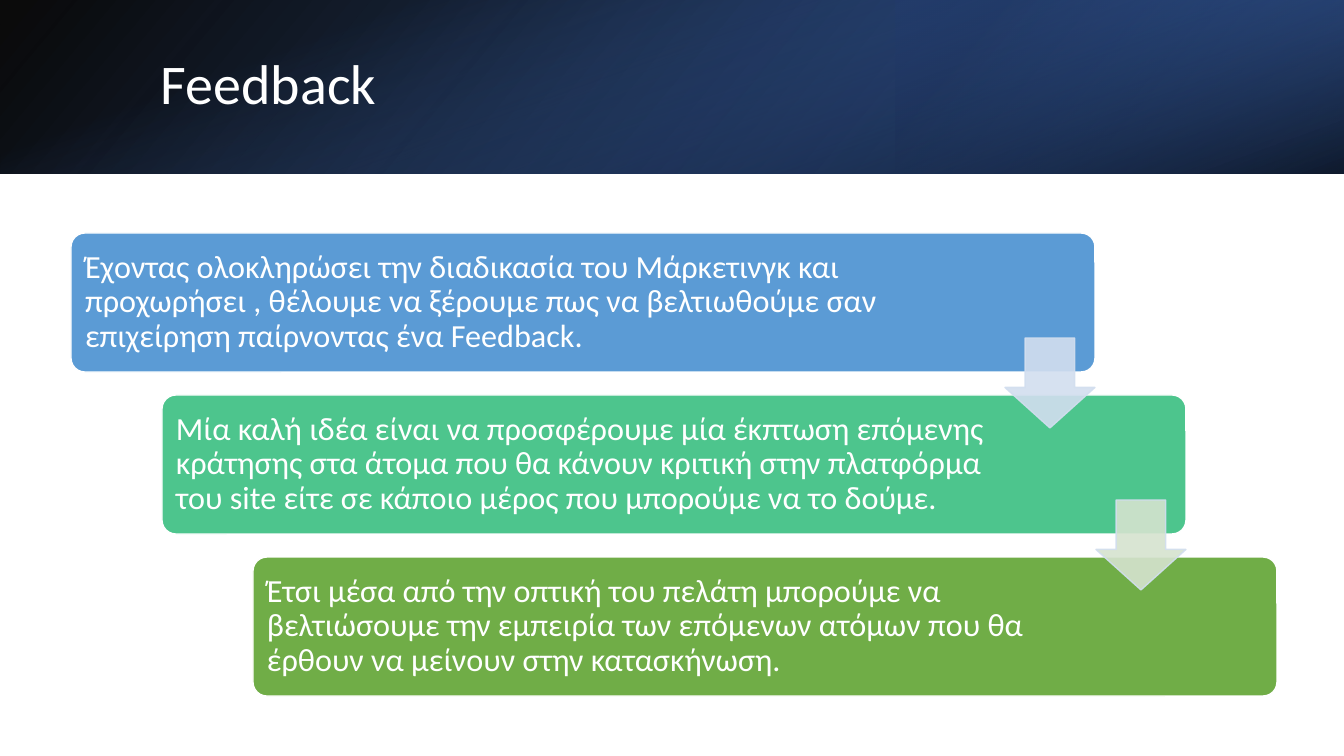
from dataclasses import dataclass

from lxml import etree
from pptx import Presentation
from pptx.dml.color import RGBColor
from pptx.enum.shapes import MSO_SHAPE
from pptx.enum.text import MSO_ANCHOR
from pptx.oxml.ns import qn
from pptx.util import Emu, Pt

RECTANGLE = MSO_SHAPE.RECTANGLE
ROUNDED = MSO_SHAPE.ROUNDED_RECTANGLE
DOWN_ARROW = MSO_SHAPE.DOWN_ARROW
MIDDLE = MSO_ANCHOR.MIDDLE

EMU_PER_PX = 914400 / 100.8
SLIDE_W, SLIDE_H = 1344, 756
BAND_H = 174
STEP_W, STEP_H = 1024, 139
STEP_LEFT, STEP_TOP = 71, 233
SHIFT_X, SHIFT_Y = 91, 162
INSET = 10
TEXT_MARGIN = 4
ARROW_SIZE = 90
ARROW_DX, ARROW_DY = 934, 105


@dataclass(frozen=True)
class Theme:
    font: str = "Calibri"
    title_size: int = 40
    body_size: int = 23
    white: str = "FFFFFF"
    black: str = "000000"
    navy: str = "203864"
    deep_blue: str = "2F5597"
    blue: str = "4472C4"
    steps: tuple = ("5B9BD5", "4DC58D", "70AD47")
    arrows: tuple = ("D2DEEF", "D5E3CF")
    arrow_line: str = "D2DEEF"


THEME = Theme()

# Text of each step with the width of its text area
STEPS = [
    ("Έχοντας ολοκληρώσει την διαδικασία του Μάρκετινγκ και προχωρήσει , "
     "θέλουμε να ξέρουμε πως να βελτιωθούμε σαν επιχείρηση παίρνοντας ένα "
     "Feedback.", 874),
    ("Μία καλή ιδέα είναι να προσφέρουμε μία έκπτωση επόμενης κράτησης στα "
     "άτομα που θα κάνουν κριτική στην πλατφόρμα του site είτε σε κάποιο "
     "μέρος που μπορούμε να το δούμε.", 836),
    ("Έτσι μέσα από την οπτική του πελάτη μπορούμε να βελτιώσουμε την "
     "εμπειρία των επόμενων ατόμων που θα έρθουν να μείνουν στην "
     "κατασκήνωση.", 836),
]


def px(value):
    return Emu(round(value * EMU_PER_PX))


def rgb(code):
    return RGBColor.from_string(code)


def set_opacities(shape, percents):
    """Give the shape's colours, fill first, their opacities in order."""
    colors = shape._element.spPr.iter(qn("a:srgbClr"))
    for color, percent in zip(list(colors), percents):
        etree.SubElement(color, qn("a:alpha")).set("val", str(percent * 1000))


def add_block(slide, kind, box, adjustments=()):
    block = slide.shapes.add_shape(kind, *map(px, box))
    block.shadow.inherit = False
    for index, value in enumerate(adjustments):
        block.adjustments[index] = value
    return block


def paint(block, fill, line):
    block.fill.solid()
    block.fill.fore_color.rgb = rgb(fill)
    block.line.color.rgb = rgb(line)
    block.line.width = Pt(1)


def add_gradient(slide, box, stops, angle, rotation=0, flipped=False):
    """Stops are (position, colour, opacity); the angle runs clockwise."""
    layer = add_block(slide, RECTANGLE, box)
    layer.rotation = rotation
    if flipped:
        layer._element.spPr.find(qn("a:xfrm")).set("flipH", "1")
    layer.line.fill.background()
    layer.fill.gradient()
    layer.fill.gradient_angle = 360 - angle
    for stop, (position, color, _) in zip(layer.fill.gradient_stops, stops):
        stop.position = position / 100
        stop.color.rgb = rgb(color)
    set_opacities(layer, [opacity for _, _, opacity in stops])


def add_text(slide, box, text, size):
    frame = slide.shapes.add_textbox(*map(px, box)).text_frame
    frame.word_wrap = True
    frame.vertical_anchor = MIDDLE
    frame.margin_left = frame.margin_right = px(INSET)
    frame.margin_top = frame.margin_bottom = px(INSET)
    paragraph = frame.paragraphs[0]
    paragraph.line_spacing = 0.9
    run = paragraph.add_run()
    run.text = text
    run.font.name = THEME.font
    run.font.size = Pt(size)
    run.font.color.rgb = rgb(THEME.white)


def add_header(slide):
    add_gradient(slide, (0, 0, SLIDE_W, BAND_H),
                 [(0, THEME.black, 96), (100, THEME.deep_blue, 100)],
                 140, flipped=True)
    add_gradient(slide, (SLIDE_W * 2 / 3, 0, SLIDE_W / 3, BAND_H),
                 [(19, THEME.navy, 68), (100, THEME.blue, 79)],
                 320, rotation=180, flipped=True)
    # An upright strip turned by 90 degrees to cover the band
    offset = (SLIDE_W - BAND_H) / 2
    add_gradient(slide, (offset, -offset, BAND_H, SLIDE_W),
                 [(23, THEME.blue, 0), (99, THEME.black, 74)],
                 340, rotation=90)
    add_text(slide, (151, 38, 1046, 97), "Feedback", THEME.title_size)


def add_step(slide, index, text, text_width):
    left = STEP_LEFT + index * SHIFT_X
    top = STEP_TOP + index * SHIFT_Y
    step = add_block(slide, ROUNDED, (left, top, STEP_W, STEP_H), [0.1])
    paint(step, THEME.steps[index], THEME.white)
    text_box = (left + TEXT_MARGIN, top + TEXT_MARGIN,
                text_width, STEP_H - 2 * TEXT_MARGIN)
    add_text(slide, text_box, text, THEME.body_size)


def add_arrow(slide, index, color):
    left = STEP_LEFT + ARROW_DX + index * SHIFT_X
    top = STEP_TOP + ARROW_DY + index * SHIFT_Y
    arrow = add_block(slide, DOWN_ARROW, (left, top, ARROW_SIZE, ARROW_SIZE),
                      [0.55, 0.45])
    paint(arrow, color, THEME.arrow_line)
    set_opacities(arrow, [90, 90])


def main():
    deck = Presentation()
    deck.slide_width, deck.slide_height = px(SLIDE_W), px(SLIDE_H)
    slide = deck.slides.add_slide(deck.slide_layouts[6])

    # Header band and title
    add_header(slide)

    # Staggered steps, then the arrows that lie over them
    for index, (text, text_width) in enumerate(STEPS):
        add_step(slide, index, text, text_width)
    for index, color in enumerate(THEME.arrows):
        add_arrow(slide, index, color)

    deck.save("out.pptx")


if __name__ == "__main__":
    main()
